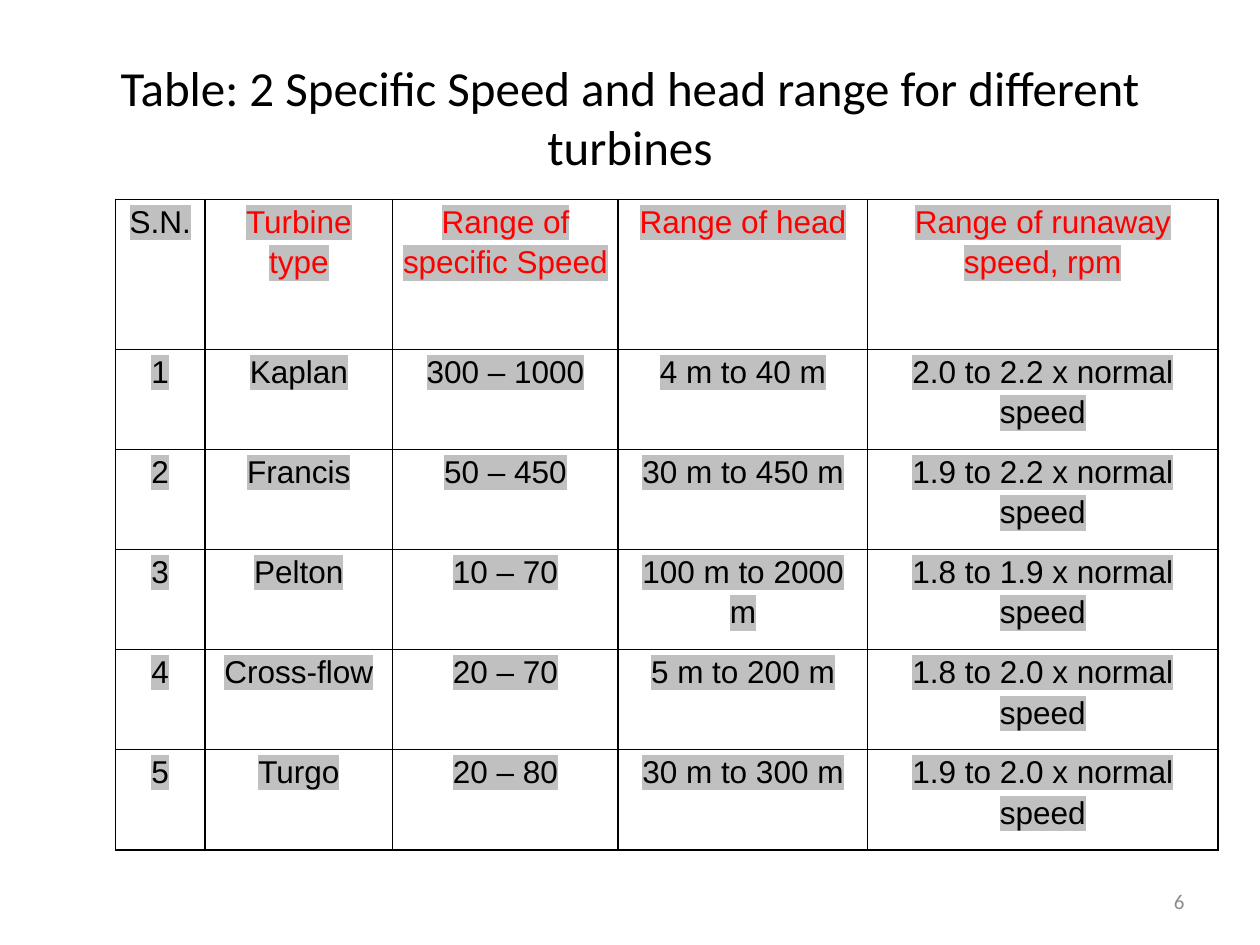
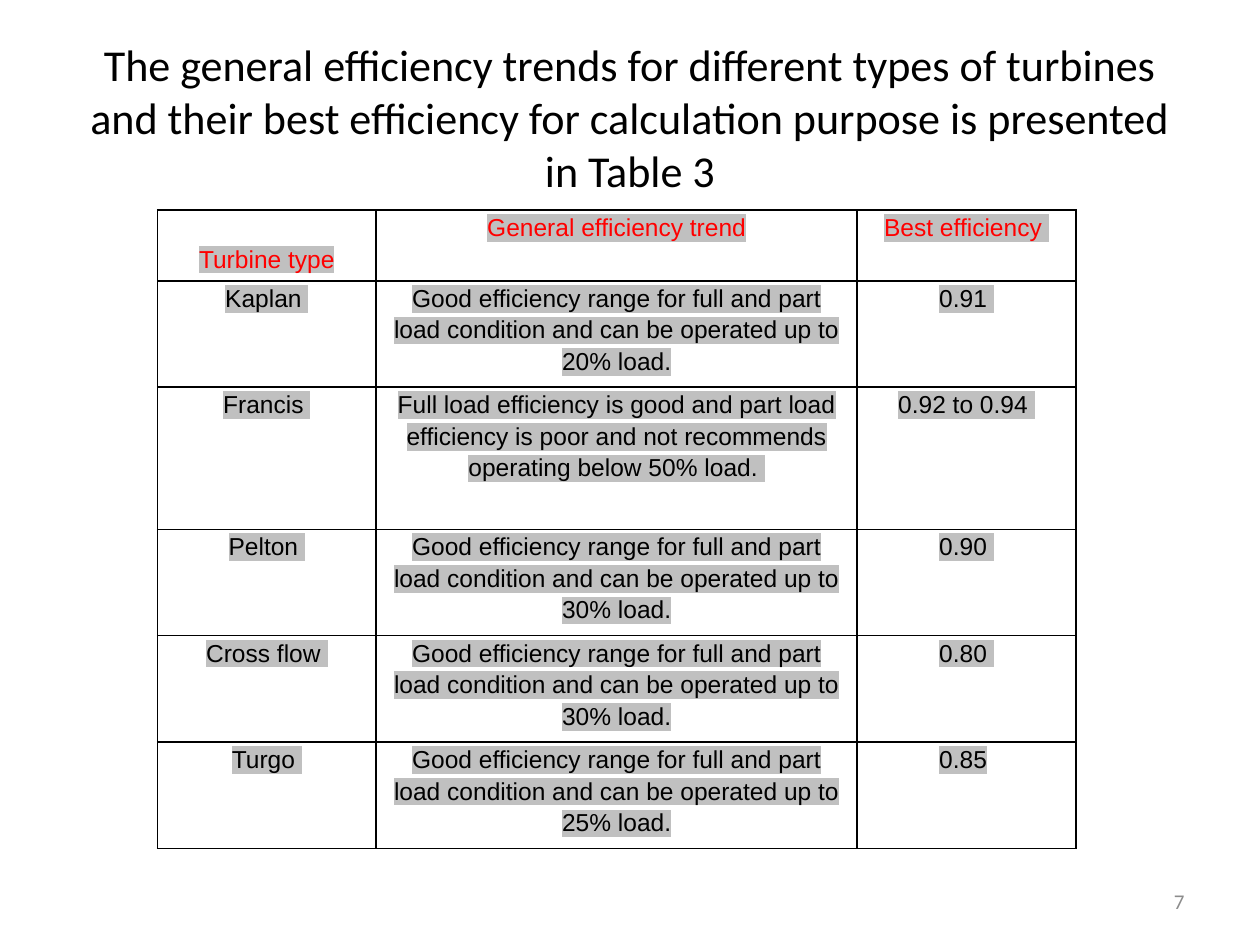
import dataclasses

import lxml.etree
import pptx
import pptx.dml.color
import pptx.enum.text
import pptx.oxml.ns
import pptx.slide
import pptx.table
import pptx.text.text
import pptx.util

BLACK = pptx.dml.color.RGBColor(0x00, 0x00, 0x00)
RED = pptx.dml.color.RGBColor(0xFF, 0x00, 0x00)
GREY = pptx.dml.color.RGBColor(0x8C, 0x8C, 0x8C)
MARKER = pptx.dml.color.RGBColor(0xC0, 0xC0, 0xC0)

SLIDE_WIDTH = pptx.util.Inches(10)
SLIDE_HEIGHT = pptx.util.Inches(7.5)
TITLE_FONT = "Calibri"
TABLE_FONT = "Arial"
PLAIN_TAIL = "|"

CENTER = pptx.enum.text.PP_ALIGN.CENTER
RIGHT = pptx.enum.text.PP_ALIGN.RIGHT


@dataclasses.dataclass(frozen=True)
class Area:
    left: float
    top: float
    width: float
    height: float


@dataclasses.dataclass(frozen=True)
class TablePage:
    title: str
    title_size: float
    number: int
    left: float
    top: float
    columns: list[float]
    rows: list[float]
    text_size: float
    first_red_column: int
    cells: list[list[str]]


TITLE_AREA = Area(5, 4, 90, 16.67)
NUMBER_AREA = Area(71.67, 92.67, 23.33, 5.33)


def across(percent: float) -> int:
    return round(SLIDE_WIDTH * percent / 100)


def down(percent: float) -> int:
    return round(SLIDE_HEIGHT * percent / 100)


def tag(name: str) -> str:
    return pptx.oxml.ns.qn(f"a:{name}")


def add_color(parent: lxml.etree._Element, color: pptx.dml.color.RGBColor) -> None:
    lxml.etree.SubElement(parent, tag("srgbClr"), val=str(color))


def write_text(para: pptx.text.text._Paragraph, text: str, *, size: float, font: str,
               color: pptx.dml.color.RGBColor, align: pptx.enum.text.PP_ALIGN,
               highlight: pptx.dml.color.RGBColor | None = None) -> None:
    para.alignment = align
    span = para.add_run()
    span.text = text
    span.font.size = pptx.util.Pt(size)
    span.font.color.rgb = color
    span.font.name = font
    if highlight is not None:
        marker = lxml.etree.Element(tag("highlight"))
        add_color(marker, highlight)
        span.font._element.find(tag("solidFill")).addnext(marker)


def add_label(page: pptx.slide.Slide, area: Area, text: str, *, size: float,
              color: pptx.dml.color.RGBColor, align: pptx.enum.text.PP_ALIGN) -> None:
    box = page.shapes.add_textbox(across(area.left), down(area.top),
                                  across(area.width), down(area.height))
    box.text_frame.word_wrap = True
    box.text_frame.vertical_anchor = pptx.enum.text.MSO_ANCHOR.MIDDLE
    write_text(box.text_frame.paragraphs[0], text, size=size, font=TITLE_FONT,
               color=color, align=align)


def frame_cell(cell: pptx.table._Cell) -> None:
    cell.fill.background()
    properties = cell._tc.get_or_add_tcPr()
    for position, side in enumerate(("lnL", "lnR", "lnT", "lnB")):
        line = lxml.etree.Element(tag(side), w=str(pptx.util.Pt(1)))
        add_color(lxml.etree.SubElement(line, tag("solidFill")), BLACK)
        properties.insert(position, line)


def fill_cell(cell: pptx.table._Cell, text: str, size: float,
              color: pptx.dml.color.RGBColor) -> None:
    cell.margin_left = cell.margin_right = pptx.util.Pt(5.4)
    cell.margin_top = cell.margin_bottom = 0
    frame_cell(cell)
    para = cell.text_frame.paragraphs[0]
    para.line_spacing = 1.15
    para.space_after = pptx.util.Pt(3)
    if text.startswith("\t"):
        indent = para._p.get_or_add_pPr()
        indent.set("marL", "0")
        indent.set("indent", str(pptx.util.Inches(0.62)))
    marked, _, tail = text.partition(PLAIN_TAIL)
    for part, highlight in ((marked, MARKER), (tail, None)):
        if part:
            write_text(para, part, size=size, font=TABLE_FONT, color=color,
                       align=CENTER, highlight=highlight)


def add_grid(page: pptx.slide.Slide, content: TablePage) -> None:
    frame = page.shapes.add_table(
        len(content.rows), len(content.columns), across(content.left), down(content.top),
        across(sum(content.columns)), down(sum(content.rows)))
    table = frame.table
    table.first_row = False
    table.horz_banding = False
    for column, width in zip(table.columns, content.columns):
        column.width = across(width)
    for row, height in zip(table.rows, content.rows):
        row.height = down(height)
    for row_index, texts in enumerate(content.cells):
        for column_index, text in enumerate(texts):
            is_red = row_index == 0 and column_index >= content.first_red_column
            fill_cell(table.cell(row_index, column_index), text, content.text_size,
                      RED if is_red else BLACK)


def runaway(low: str, high: str) -> str:
    return f"{low} to {high} x normal speed"


def good_down_to(load: int) -> str:
    return ("Good efficiency range for full and part load condition "
            f"and can be operated up to {load}% load.")


PAGES = [
    TablePage(
        title="Table: 2 Specific Speed and head range for different turbines",
        title_size=28, number=6, left=9.17, top=21.11,
        columns=[7.1, 14.9, 17.9, 19.8, 27.8], rows=[15.88] + [10.59] * 5,
        text_size=18, first_red_column=1,
        cells=[
            ["S.N.", "Turbine type", "Range of specific Speed", "Range of head",
             "Range of runaway speed, rpm"],
            ["1", "Kaplan", "300 – 1000", "4 m to 40 m", runaway("2.0", "2.2")],
            ["2", "Francis", "50 – 450", "30 m to 450 m", runaway("1.9", "2.2")],
            ["3", "Pelton", "10 – 70", "100 m to 2000 m", runaway("1.8", "1.9")],
            ["4", "Cross-flow", "20 – 70", "5 m to 200 m", runaway("1.8", "2.0")],
            ["5", "Turgo", "20 – 80", "30 m to 300 m", runaway("1.9", "2.0")],
        ]),
    TablePage(
        title="The general efficiency trends for different types of turbines and their "
              "best efficiency for calculation purpose is presented in Table 3",
        title_size=25.2, number=7, left=12.5, top=22.22,
        columns=[17.36, 38.17, 17.36], rows=[7.5, 11.26, 15.03] + [11.26] * 3,
        text_size=14, first_red_column=0,
        cells=[
            ["\tTurbine type", "General efficiency trend", "Best efficiency "],
            ["Kaplan ", good_down_to(20), "0.91 "],
            ["Francis ", "Full load efficiency is good and part load efficiency is poor "
             "and not recommends operating below 50% load. ", "0.92 to 0.94 "],
            ["Pelton ", good_down_to(30), "0.90 "],
            ["Cross flow ", good_down_to(30), "0.80 "],
            ["Turgo ", good_down_to(25), "0.85| "],
        ]),
]


def main() -> None:
    deck = pptx.Presentation()
    deck.slide_width = SLIDE_WIDTH
    deck.slide_height = SLIDE_HEIGHT
    for content in PAGES:
        page = deck.slides.add_slide(deck.slide_layouts[6])
        add_label(page, TITLE_AREA, content.title, size=content.title_size,
                  color=BLACK, align=CENTER)
        add_label(page, NUMBER_AREA, str(content.number), size=12, color=GREY, align=RIGHT)
        add_grid(page, content)
    deck.save("out.pptx")


if __name__ == "__main__":
    main()
